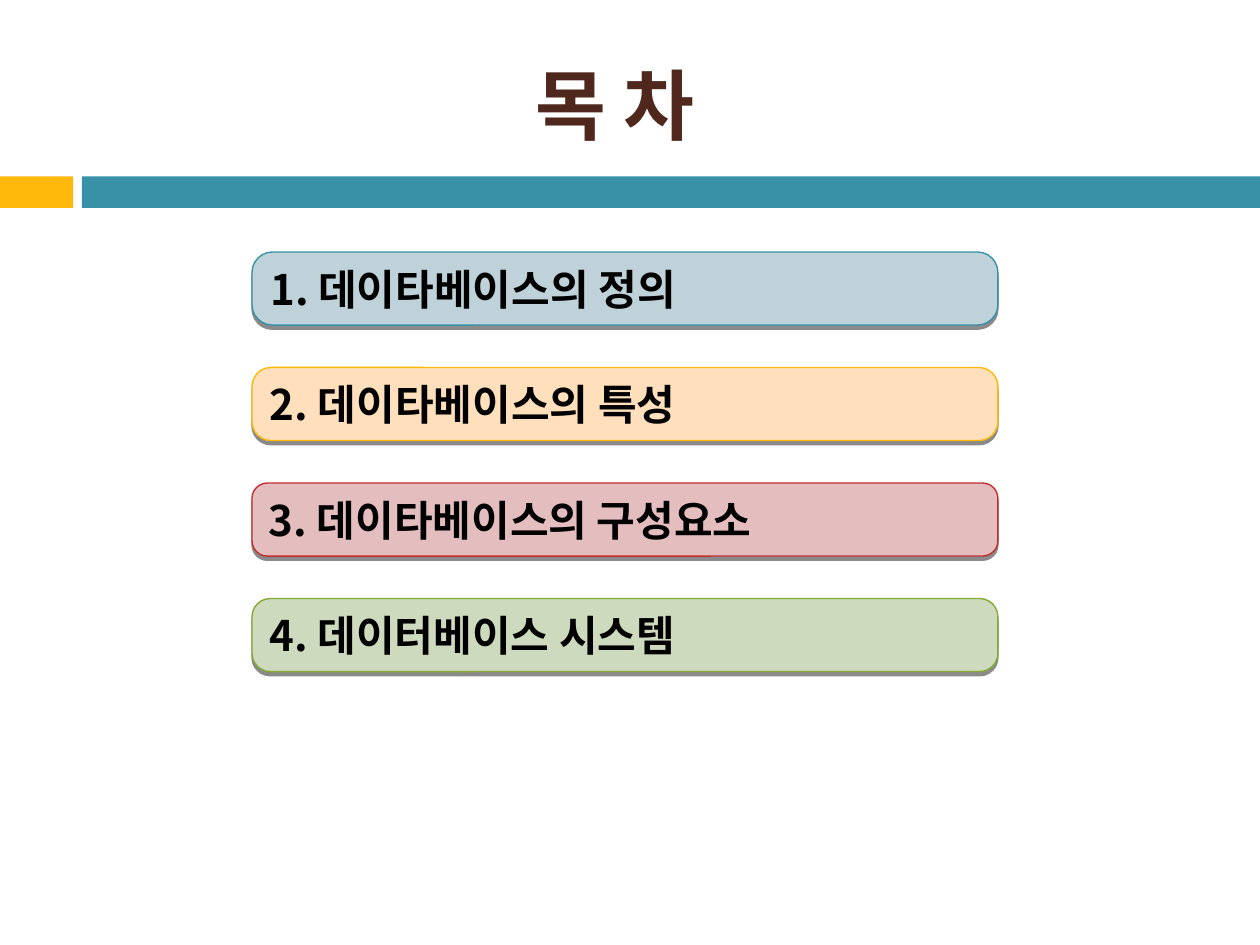
from lxml import etree
from pptx import Presentation
from pptx.dml.color import RGBColor
from pptx.enum.shapes import MSO_SHAPE
from pptx.enum.text import MSO_ANCHOR, PP_ALIGN
from pptx.oxml import parse_xml
from pptx.oxml.ns import nsdecls, qn
from pptx.util import Inches, Pt

RECTANGLE = MSO_SHAPE.RECTANGLE
ROUNDED = MSO_SHAPE.ROUNDED_RECTANGLE
MIDDLE = MSO_ANCHOR.MIDDLE
LEFT, CENTER = PP_ALIGN.LEFT, PP_ALIGN.CENTER
FONT = "Noto Sans CJK KR"
SHADOW = (
    f'<a:effectLst {nsdecls("a")}>'
    '<a:outerShdw blurRad="0" dist="30480" dir="5400000" rotWithShape="0">'
    '<a:srgbClr val="000000"><a:alpha val="45000"/></a:srgbClr>'
    "</a:outerShdw></a:effectLst>"
)


def color(value):
    return RGBColor.from_string(value)


def write(shape, text, size, text_color, alignment):
    frame = shape.text_frame
    frame.text = text
    frame.word_wrap = True
    frame.vertical_anchor = MIDDLE
    para = frame.paragraphs[0]
    para.alignment = alignment
    span = para.runs[0]
    span.font.size = Pt(size)
    span.font.bold = True
    span.font.name = FONT
    span.font.color.rgb = color(text_color)
    # Korean glyphs take the East Asian typeface
    etree.SubElement(span.font._element, qn("a:ea")).set("typeface", FONT)


deck = Presentation()
deck.slide_width, deck.slide_height = Inches(10), Inches(7.5)
page = deck.slides.add_slide(deck.slide_layouts[5])

# Band under the title
for left, width, fill in [(0, 0.58, "FEB80A"), (0.65, 9.35, "3891A7")]:
    band = page.shapes.add_shape(
        RECTANGLE, Inches(left), Inches(1.4), Inches(width), Inches(0.25))
    band.shadow.inherit = False
    band.fill.solid()
    band.fill.fore_color.rgb = color(fill)
    band.line.fill.background()

# Title
title = page.shapes.title
title.left, title.top = Inches(0.42), Inches(0.28)
title.width, title.height = Inches(8.92), Inches(1.08)
write(title, "목 차", 44, "4F271C", CENTER)

# Contents: text, fill, outline, corner rounding
entries = [
    ("1. 데이타베이스의 정의", "BFD2D9", "3891A7", 0.28),
    ("2. 데이타베이스의 특성", "FFDFBC", "FEB80A", 0.26),
    ("3. 데이타베이스의 구성요소", "E4BEBE", "C32D2E", 0.21),
    ("4. 데이터베이스 시스템", "CEDABE", "84AA33", 0.25),
]
for index, (text, fill, outline, rounding) in enumerate(entries):
    box = page.shapes.add_shape(
        ROUNDED, Inches(2), Inches(2 + index * 2.75 / 3), Inches(5.92), Inches(0.58))
    box.adjustments[0] = rounding
    box.fill.solid()
    box.fill.fore_color.rgb = color(fill)
    box.line.color.rgb = color(outline)
    box.line.width = Pt(0.79)
    box._element.spPr.append(parse_xml(SHADOW))
    write(box, text, 24, "000000", LEFT)

deck.save("out.pptx")
